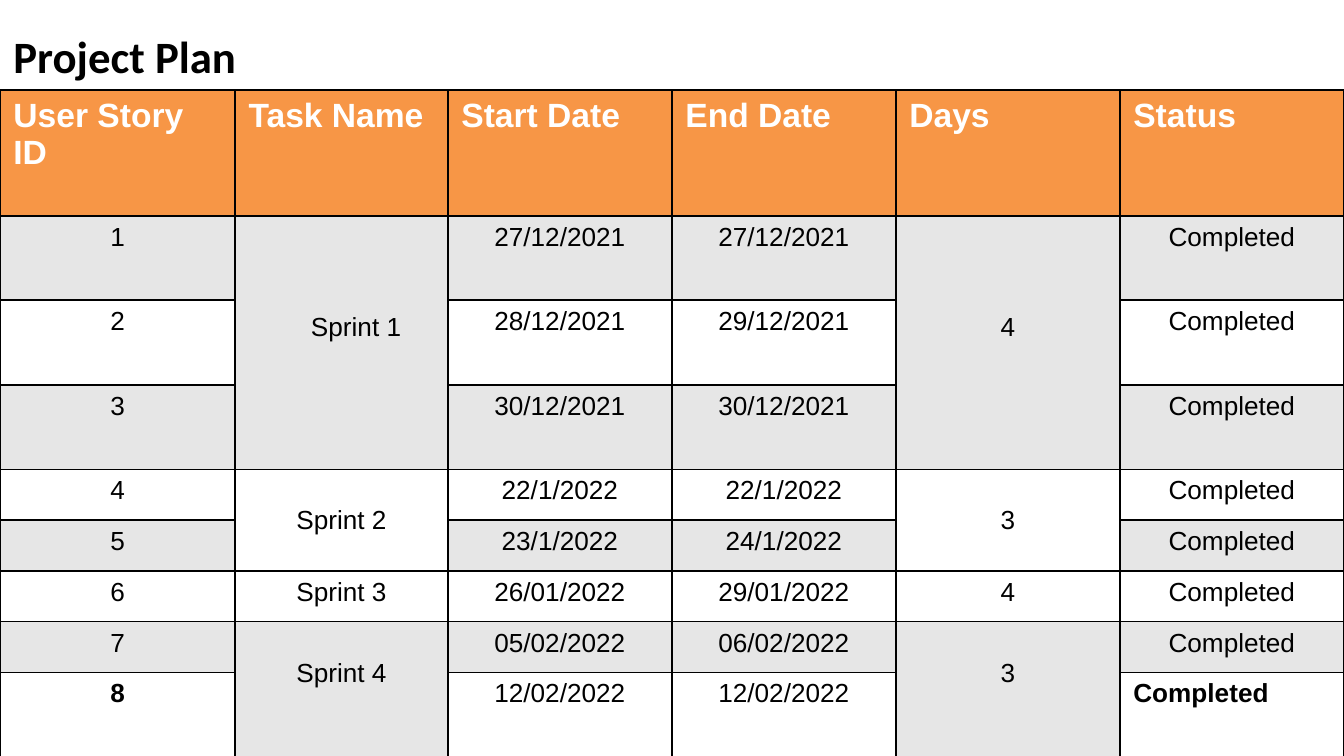
from lxml import etree
from pptx import Presentation
from pptx.dml.color import RGBColor
from pptx.enum import text
from pptx.oxml import ns
from pptx.util import Pt

TITLE = "Project Plan"
HEADINGS = ["User Story ID", "Task Name", "Start Date", "End Date", "Days", "Status"]
STATUS = "Completed"
SPRINTS = [  # name, days, (start, end) of each user story
    ("Sprint 1", "4", [("27/12/2021", "27/12/2021"),
                       ("28/12/2021", "29/12/2021"),
                       ("30/12/2021", "30/12/2021")]),
    ("Sprint 2", "3", [("22/1/2022", "22/1/2022"), ("23/1/2022", "24/1/2022")]),
    ("Sprint 3", "4", [("26/01/2022", "29/01/2022")]),
    ("Sprint 4", "3", [("05/02/2022", "06/02/2022"), ("12/02/2022", "12/02/2022")]),
]

COLUMN_WIDTHS = [126, 114, 120, 120, 120, 120]
TALL, SHORT = 45.3, 27.2
ROW_HEIGHTS = [67.4] + [TALL] * 3 + [SHORT] * 4 + [TALL]
TABLE_TOP = 48.2
TOP_MARGINS = {1: 3.6, 2: 19.7, 3: 52}  # by number of rows spanned
ORANGE, GREY, WHITE, BLACK = "F79646", "E6E6E6", "FFFFFF", "000000"
LEFT, CENTER = text.PP_ALIGN.LEFT, text.PP_ALIGN.CENTER


def color(value):
    return RGBColor.from_string(value)


def format_paragraph(para, align, ink, **font_values):
    para.alignment = align
    para.font.color.rgb = color(ink)
    for name, value in font_values.items():
        setattr(para.font, name, value)


def add_borders(cell):
    properties = cell._tc.get_or_add_tcPr()
    for side in ("lnL", "lnR", "lnT", "lnB"):
        line = etree.SubElement(properties, ns.qn(f"a:{side}"), w=str(Pt(1)))
        fill = etree.SubElement(line, ns.qn("a:solidFill"))
        etree.SubElement(fill, ns.qn("a:srgbClr"), val=BLACK)


def write(cell, words, align=CENTER, ink=BLACK, size=14, bold=False):
    cell.text = words
    format_paragraph(cell.text_frame.paragraphs[0], align, ink,
                     name="Arial", size=Pt(size), bold=bold)


deck = Presentation()
deck.slide_width, deck.slide_height = Pt(720), Pt(405)
page = deck.slides.add_slide(deck.slide_layouts[5])

title = page.shapes.title
title.left, title.top, title.width, title.height = Pt(0), Pt(12), Pt(276), Pt(36)
title.text = TITLE
for name, value in {"vertical_anchor": text.MSO_ANCHOR.TOP,
                    "auto_size": text.MSO_AUTO_SIZE.NONE,
                    "word_wrap": True}.items():
    setattr(title.text_frame, name, value)
format_paragraph(title.text_frame.paragraphs[0], LEFT, BLACK,
                 name="Calibri", size=Pt(24), bold=True)

plan = page.shapes.add_table(
    len(ROW_HEIGHTS), len(COLUMN_WIDTHS), Pt(0), Pt(TABLE_TOP),
    Pt(sum(COLUMN_WIDTHS)), Pt(sum(ROW_HEIGHTS))).table
plan.horz_banding = False
for column, width in zip(plan.columns, COLUMN_WIDTHS):
    column.width = Pt(width)
for index, (row, height) in enumerate(zip(plan.rows, ROW_HEIGHTS)):
    row.height = Pt(height)
    band = ORANGE if index == 0 else GREY if index % 2 else WHITE
    for cell in row.cells:
        add_borders(cell)
        cell.fill.solid()
        cell.fill.fore_color.rgb = color(band)

for column, heading in enumerate(HEADINGS):
    write(plan.cell(0, column), heading, LEFT, WHITE, 18, True)

story = 1
last_story = sum(len(dates) for _, _, dates in SPRINTS)
for sprint, days, dates in SPRINTS:
    span = len(dates)
    for column, words in ((1, sprint), (4, days)):
        cell = plan.cell(story, column)
        if span > 1:
            cell.merge(plan.cell(story + span - 1, column))
        write(cell, words)
        cell.margin_top = Pt(TOP_MARGINS[span])
    for start, end in dates:
        last = story == last_story
        write(plan.cell(story, 0), str(story), bold=last)
        write(plan.cell(story, 2), start)
        write(plan.cell(story, 3), end)
        write(plan.cell(story, 5), STATUS, LEFT if last else CENTER, bold=last)
        story += 1
plan.cell(1, 1).margin_left = Pt(22.8)

deck.save("out.pptx")
